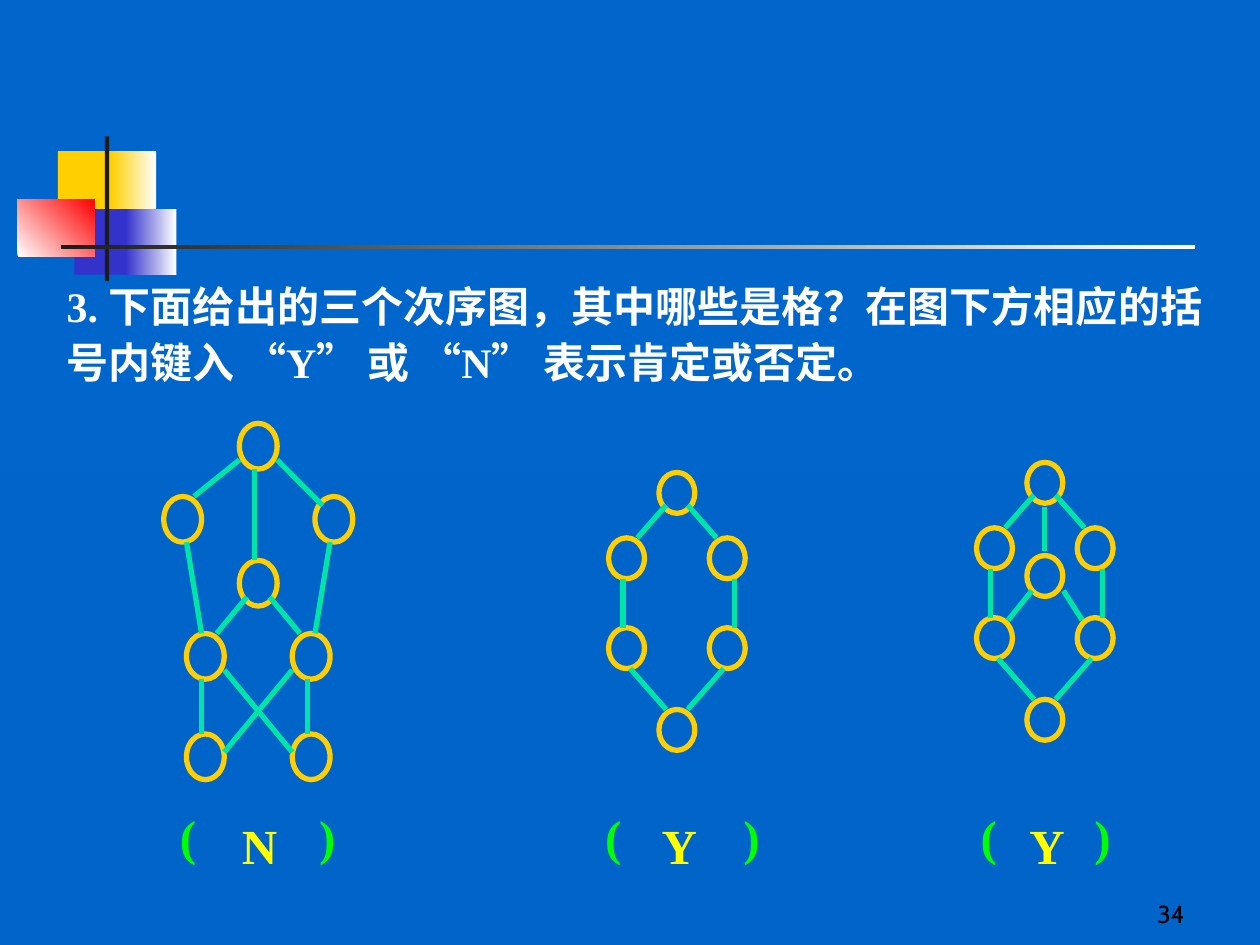
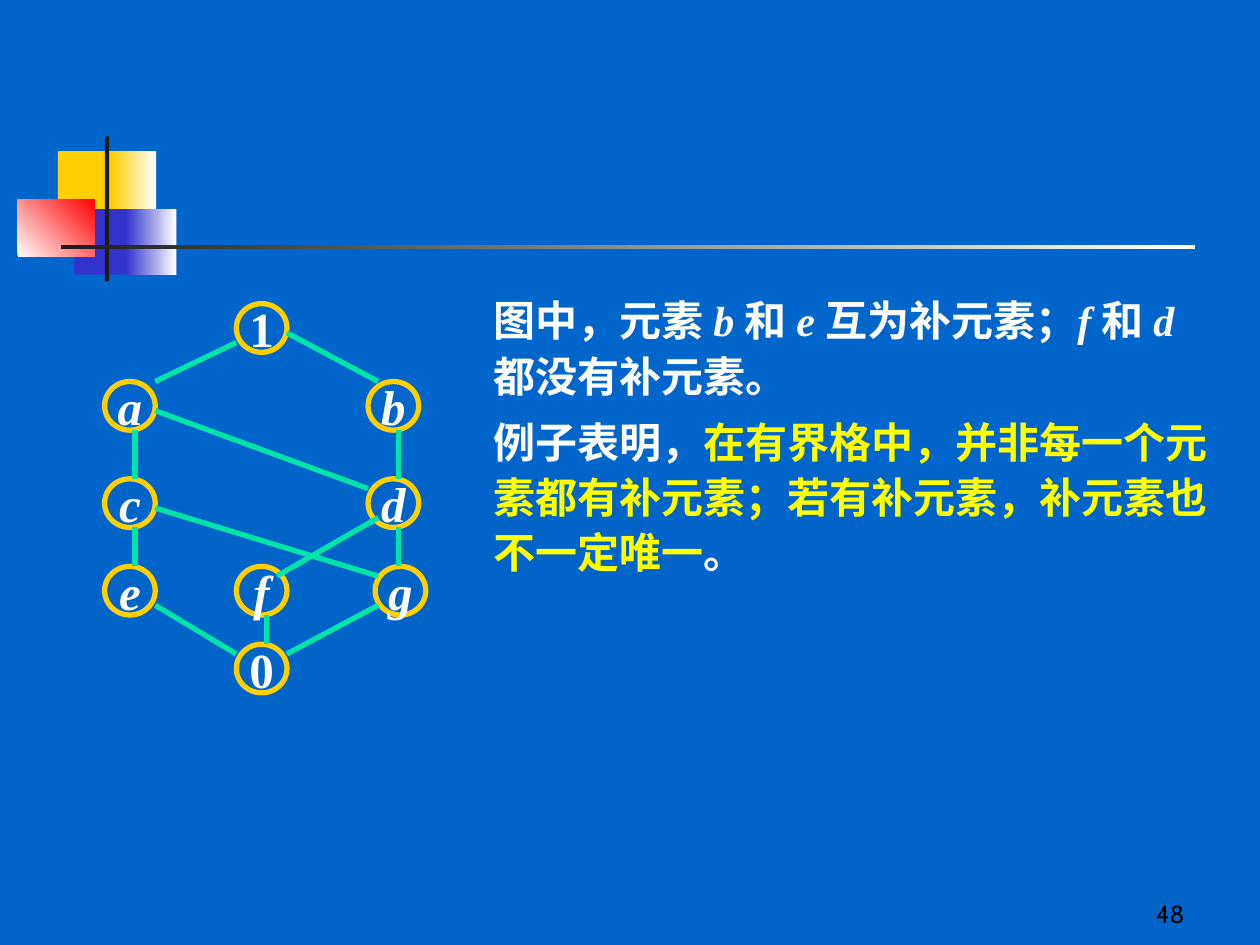
"""Build two slides on lattices: a yes/no exercise and an example about complements."""
from lxml import etree
from pptx import Presentation
from pptx.dml.color import RGBColor
from pptx.enum.shapes import MSO_CONNECTOR, MSO_SHAPE
from pptx.enum.text import MSO_ANCHOR, PP_ALIGN
from pptx.oxml.ns import qn
from pptx.util import Pt

OVAL, RECT = MSO_SHAPE.OVAL, MSO_SHAPE.RECTANGLE
STRAIGHT = MSO_CONNECTOR.STRAIGHT
TOP, MIDDLE, BOTTOM = MSO_ANCHOR.TOP, MSO_ANCHOR.MIDDLE, MSO_ANCHOR.BOTTOM
LEFT, CENTER, RIGHT, JUSTIFY = PP_ALIGN.LEFT, PP_ALIGN.CENTER, PP_ALIGN.RIGHT, PP_ALIGN.JUSTIFY

BLUE_TOP = RGBColor(0x00, 0x66, 0xCC)
BLUE_BOTTOM = RGBColor(0x00, 0x64, 0xC9)
GOLD = RGBColor(0xFF, 0xCF, 0x01)
INDIGO = RGBColor(0x33, 0x33, 0xCC)
RED = RGBColor(0xFF, 0x00, 0x00)
CHARCOAL = RGBColor(0x1C, 0x1C, 0x1C)
TEAL = RGBColor(0x00, 0xE4, 0xA8)
GREEN = RGBColor(0x00, 0xFF, 0x00)
YELLOW = RGBColor(0xFF, 0xFF, 0x00)
WHITE = RGBColor(0xFF, 0xFF, 0xFF)
BLACK = RGBColor(0x00, 0x00, 0x00)

SERIF, SANS = "Times New Roman", "Cabin"
NODE_CELLS = 5

ORNAMENT = [
    ((33.12, 86.4, 34.56, 37.44), (GOLD,), 0),
    ((63.36, 86.4, 25.92, 37.44), (GOLD, WHITE), 0),
    ((42.48, 119.52, 33.12, 37.44), (INDIGO,), 0),
    ((72, 119.52, 28.8, 37.44), (INDIGO, WHITE), 0),
    ((10.08, 113.76, 43.92, 33.12), (WHITE, RED), 45),
    ((59.9, 77.9, 2.5, 82.8), (CHARCOAL,), 0),
    ((34.7, 140, 648, 2.5), (CHARCOAL, WHITE), 0),
]

QUESTION = "3. 下面给出的三个次序图，其中哪些是格？在图下方相应的括号内键入 “Y” 或 “N” 表示肯定或否定。"
BRACKETS = "(\t)\t(\t)\t(\t)"
BRACKET_STOPS = [79.5, 243, 322, 457.5, 522.5]
ANSWERS = [("N", 127.44), ("Y", 367.2), ("Y", 577.44)]

ITALIC = {"italic": True}
EXPLANATION = [
    [("图中，元素 ", {}), ("b ", ITALIC), ("和 ", {}), ("e ", ITALIC), ("互为补元素；", {}),
     ("f ", ITALIC), ("和 ", {}), ("d ", ITALIC), ("都没有补元素。", {})],
    [("例子表明，", {}),
     ("在有界格中，并非每一个元素都有补元素；若有补元素，补元素也不一定唯一", {"color": YELLOW}),
     ("。", {})],
]

HEXAGON_NODES = [("", 7, 0), ("", 0, 8), ("", 14, 8), ("", 0, 19), ("", 14, 19), ("", 7, 29)]
HEXAGON_EDGES = [
    (17.5, 13, 17.5, 19), (8, 4, 4, 8), (11, 4, 15, 8),
    (2, 13, 2, 19), (3, 24, 8, 29), (16, 24, 11, 29),
]

CROSSED = {
    "origin": (93.6, 241.92), "cell": (4.32, 5.22),
    "nodes": [("", 10, 0), ("", 0, 8), ("", 20, 8), ("", 10, 15),
              ("", 3, 23), ("", 17, 23), ("", 3, 34), ("", 17, 34)],
    "edges": [(12, 5, 12, 15), (15, 4, 21, 9), (22, 13, 20, 23), (19, 28, 19, 34),
              (10, 4, 4, 8), (3, 13, 5, 23), (11, 19, 7, 23), (14, 19, 18, 23),
              (5, 28, 5, 34), (8, 27, 17, 36), (17, 27, 8, 36)],
}
HEXAGON = {
    "origin": (347.76, 270), "cell": (4.11, 4.67),
    "nodes": HEXAGON_NODES, "edges": HEXAGON_EDGES,
}
CENTERED_HEXAGON = {
    "origin": (558, 264.24), "cell": (4.11, 4.67),
    "nodes": HEXAGON_NODES + [("", 7, 11.4)],
    "edges": HEXAGON_EDGES + [(9.5, 5.5, 9.5, 10.8), (7.7, 15.7, 4.4, 19.3),
                              (12.1, 15.7, 14.7, 19.3)],
}
LETTERED = {
    "origin": (59.76, 173.52), "cell": (5.79, 5.56),
    "nodes": [("1", 13, 0), ("a", 0, 8), ("b", 26, 8), ("c", 0, 18), ("d", 26, 18),
              ("e", 0, 27), ("g", 26.7, 27), ("0", 13, 35), ("f", 13, 27)],
    "edges": [(13, 4, 5, 8), (18, 3, 27, 8), (5, 11, 26, 19), (3, 13, 3, 18),
              (29, 13, 29, 18), (5, 21, 27, 28), (27, 22, 17, 28), (5, 31, 13, 36),
              (27, 31, 18, 36), (3, 23, 3, 27), (16, 32, 16, 35), (29, 23, 29, 27)],
}


def paint(fill, colors, angle=0):
    """Fill with one colour, or with a gradient between two."""
    if len(colors) == 1:
        fill.solid()
        fill.fore_color.rgb = colors[0]
        return
    fill.gradient()
    fill.gradient_angle = angle
    for stop, color in zip(fill.gradient_stops, colors):
        stop.color.rgb = color


def write(frame, text, size=24, font=SERIF, color=WHITE, bold=True, italic=False, align=LEFT,
          anchor=TOP, wrap=True, line_spacing=None, gap=0, tab_stops=()):
    """Write a string, or paragraphs of (text, format) runs, into a text frame."""
    frame.word_wrap = wrap
    frame.vertical_anchor = anchor
    paragraphs = [[(text, {})]] if isinstance(text, str) else text
    for index, runs in enumerate(paragraphs):
        paragraph = frame.add_paragraph() if index else frame.paragraphs[0]
        if tab_stops:
            tabs = etree.SubElement(paragraph._p.get_or_add_pPr(), qn("a:tabLst"))
            for stop in tab_stops:
                etree.SubElement(tabs, qn("a:tab"), pos=str(int(Pt(stop))), algn="l")
        paragraph.alignment = align
        paragraph.space_before = Pt(gap if index else 0)
        if line_spacing:
            paragraph.line_spacing = line_spacing
        for words, changes in runs:
            run = paragraph.add_run()
            run.text = words
            run.font.name = font
            run.font.size = Pt(size)
            run.font.bold = bold
            run.font.italic = changes.get("italic", italic)
            run.font.color.rgb = changes.get("color", color)


def add_text(slide, box, text, **style):
    """Add a text box at the given left, top, width and height."""
    write(slide.shapes.add_textbox(*map(Pt, box)).text_frame, text, **style)


def draw_lattice(slide, origin, cell, nodes, edges):
    """Draw an order diagram on a grid of cells."""
    def place(column, row):
        return Pt(origin[0] + column * cell[0]), Pt(origin[1] + row * cell[1])

    for label, column, row in nodes:
        node = slide.shapes.add_shape(OVAL, *place(column, row),
                                      *(Pt(NODE_CELLS * side) for side in cell))
        node.shadow.inherit = False
        node.fill.background()
        node.line.color.rgb = GOLD
        node.line.width = Pt(3)
        if label:
            write(node.text_frame, label, size=28, italic=label.isalpha(),
                  align=CENTER, anchor=MIDDLE, wrap=False)
    for x1, y1, x2, y2 in edges:
        edge = slide.shapes.add_connector(STRAIGHT, *place(x1, y1), *place(x2, y2))
        edge.line.color.rgb = TEAL
        edge.line.width = Pt(3)
        etree.SubElement(edge._element.spPr, qn("a:effectLst"))


def add_slide(deck, number):
    """Add a slide with the shared ornament and its number."""
    slide = deck.slides.add_slide(deck.slide_layouts[6])
    for box, colors, angle in ORNAMENT:
        block = slide.shapes.add_shape(RECT, *map(Pt, box))
        block.shadow.inherit = False
        block.line.fill.background()
        paint(block.fill, colors, angle)
    add_text(slide, (534.24, 498.24, 149.76, 36), number, size=14, font=SANS,
             color=BLACK, bold=False, align=RIGHT, anchor=BOTTOM)
    return slide


def main():
    """Build and save the deck."""
    deck = Presentation()
    deck.slide_width, deck.slide_height = Pt(720), Pt(540)
    paint(deck.slide_master.background.fill, (BLUE_TOP, BLUE_BOTTOM), 270)

    exercise = add_slide(deck, "34")
    add_text(exercise, (30.96, 154.08, 663.12, 70.56), QUESTION, align=JUSTIFY, line_spacing=1.1)
    add_text(exercise, (95.76, 457.2, 552.24, 41.04), BRACKETS, size=28, color=GREEN,
             tab_stops=BRACKET_STOPS)
    for lattice in (CROSSED, HEXAGON, CENTERED_HEXAGON):
        draw_lattice(exercise, **lattice)
    for answer, left in ANSWERS:
        add_text(exercise, (left, 462.24, 41.76, 41.04), answer, size=28, color=YELLOW,
                 align=CENTER)

    example = add_slide(deck, "48")
    add_text(example, (275.04, 162, 425.52, 172.08), EXPLANATION, line_spacing=1.1, gap=6)
    draw_lattice(example, **LETTERED)

    deck.save("out.pptx")


if __name__ == "__main__":
    main()
